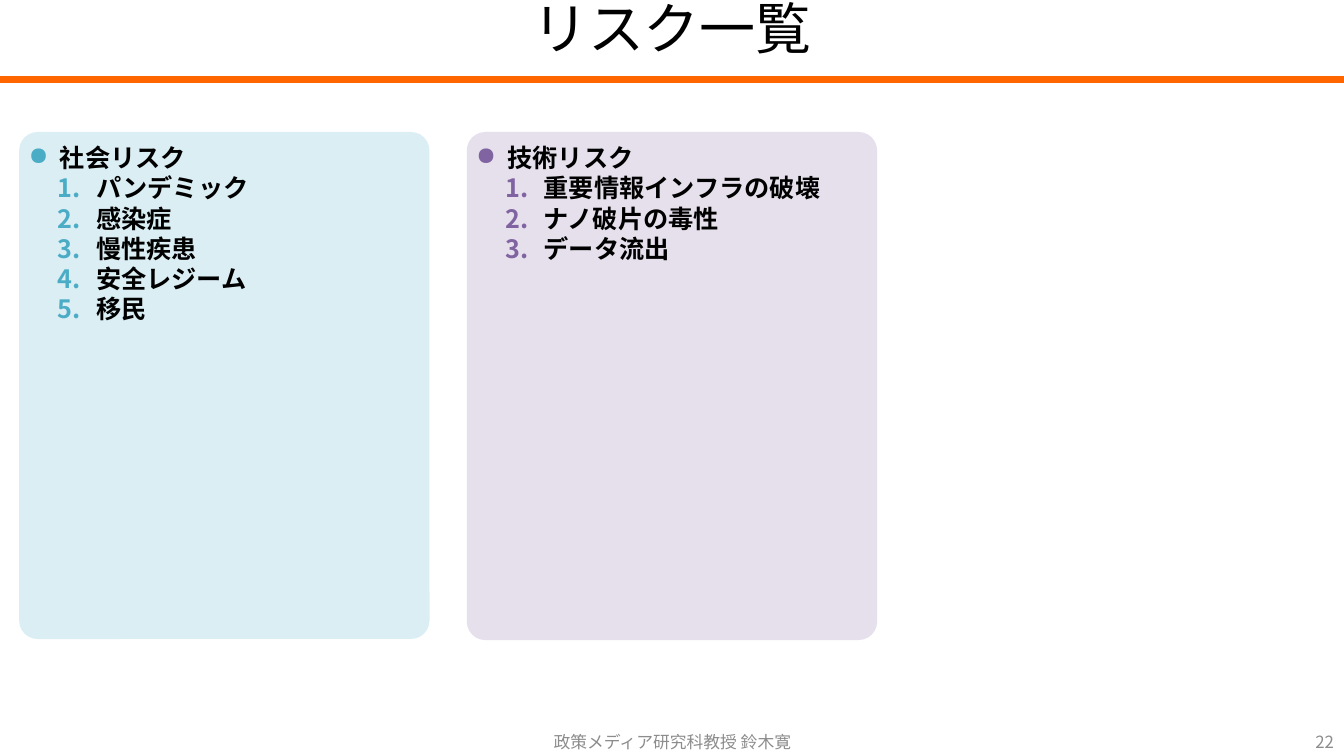
from dataclasses import dataclass
from lxml.etree import SubElement
from pptx import Presentation
from pptx.dml.color import RGBColor
from pptx.enum.shapes import MSO_CONNECTOR, MSO_SHAPE
from pptx.enum.text import MSO_ANCHOR, PP_ALIGN
from pptx.oxml.ns import qn
from pptx.util import Inches, Pt

# Content
TITLE = "リスク一覧"
PANELS = [
    {"heading": "社会リスク", "fill": "DBEEF4", "accent": "4BACC6", "height": 5.03,
     "items": ["パンデミック", "感染症", "慢性疾患", "安全レジーム", "移民"]},
    {"heading": "技術リスク", "fill": "E6E0EC", "accent": "8064A2", "height": 5.04,
     "items": ["重要情報インフラの破壊", "ナノ破片の毒性", "データ流出"]},
]
FOOTERS = [
    ("政策メディア研究科教授 鈴木寛", 4.42, 4.5, PP_ALIGN.CENTER),
    ("22", 10.33, 3, PP_ALIGN.RIGHT),
]


@dataclass(frozen=True)
class Theme:
    font: str = "Noto Sans CJK JP"
    text: str = "000000"
    muted: str = "8C8C8C"
    rule: str = "FF6600"
    title_size: int = 40
    body_size: int = 18
    footer_size: int = 12


THEME = Theme()
SLIDE_W, SLIDE_H = 13.33, 7.5
RULE_Y = 0.79
PANEL_LEFT, PANEL_TOP, PANEL_W, PANEL_STEP = 0.19, 1.31, 4.07, 4.44


def style_runs(p, size, color, bold=False):
    for r in p.runs:
        r.font.name = THEME.font
        r.font.size = Pt(size)
        r.font.bold = bold
        r.font.color.rgb = RGBColor.from_string(color)
        SubElement(r.font._element, qn("a:ea"), typeface=THEME.font)


def set_bullet(p, color, left, hanging, numbered):
    pPr = p._p.get_or_add_pPr()
    pPr.set("marL", str(Inches(left)))
    pPr.set("indent", str(-Inches(hanging)))
    SubElement(SubElement(pPr, qn("a:buClr")), qn("a:srgbClr"), val=color)
    if numbered:
        SubElement(pPr, qn("a:buAutoNum"), type="arabicPeriod")
    else:
        SubElement(pPr, qn("a:buChar"), char="●")


def add_panel(slide, panel, left):
    sp = slide.shapes.add_shape(MSO_SHAPE.ROUNDED_RECTANGLE, Inches(left), Inches(PANEL_TOP),
                                Inches(PANEL_W), Inches(panel["height"]))
    sp.adjustments[0] = 0.045
    sp.shadow.inherit = False
    sp.fill.solid()
    sp.fill.fore_color.rgb = RGBColor.from_string(panel["fill"])
    sp.line.fill.background()
    tf = sp.text_frame
    tf.word_wrap = True
    tf.vertical_anchor = MSO_ANCHOR.TOP
    tf.margin_left = tf.margin_right = Inches(0.04)
    tf.margin_top = tf.margin_bottom = Inches(0.05)
    tf.text = "\n".join([panel["heading"], *panel["items"]])
    for i, p in enumerate(tf.paragraphs):
        p.alignment = PP_ALIGN.LEFT
        p.line_spacing = 1.0
        p.level = min(i, 1)
        left_indent, hanging = (0.67, 0.38) if i else (0.31, 0.31)
        set_bullet(p, panel["accent"], left_indent, hanging, numbered=i > 0)
        style_runs(p, THEME.body_size, THEME.text, bold=True)


def main():
    prs = Presentation()
    prs.slide_width, prs.slide_height = Inches(SLIDE_W), Inches(SLIDE_H)
    slide = prs.slides.add_slide(prs.slide_layouts[5])

    # Footer and page number
    for text, left, width, align in FOOTERS:
        sp = slide.shapes.add_textbox(Inches(left), Inches(7.11), Inches(width), Inches(0.4))
        tf = sp.text_frame
        tf.word_wrap = True
        tf.vertical_anchor = MSO_ANCHOR.BOTTOM
        tf.text = text
        p = tf.paragraphs[0]
        p.alignment = align
        style_runs(p, THEME.footer_size, THEME.muted)

    # Title
    title = slide.shapes.title
    title.left, title.top = Inches(0), Inches(0.06)
    title.width, title.height = Inches(SLIDE_W), Inches(0.87)
    tf = title.text_frame
    tf.vertical_anchor = MSO_ANCHOR.TOP
    tf.margin_top = 0
    tf.text = TITLE
    p = tf.paragraphs[0]
    p.alignment = PP_ALIGN.CENTER
    p.line_spacing = 0.8
    style_runs(p, THEME.title_size, THEME.text)

    # Rule under the title
    rule = slide.shapes.add_connector(MSO_CONNECTOR.STRAIGHT, Inches(0), Inches(RULE_Y),
                                      Inches(SLIDE_W), Inches(RULE_Y))
    rule.line.color.rgb = RGBColor.from_string(THEME.rule)
    rule.line.width = Pt(4.5)
    SubElement(rule._element.spPr, qn("a:effectLst"))

    # Risk panels
    for i, panel in enumerate(PANELS):
        add_panel(slide, panel, PANEL_LEFT + i * PANEL_STEP)

    prs.save("out.pptx")


if __name__ == "__main__":
    main()
